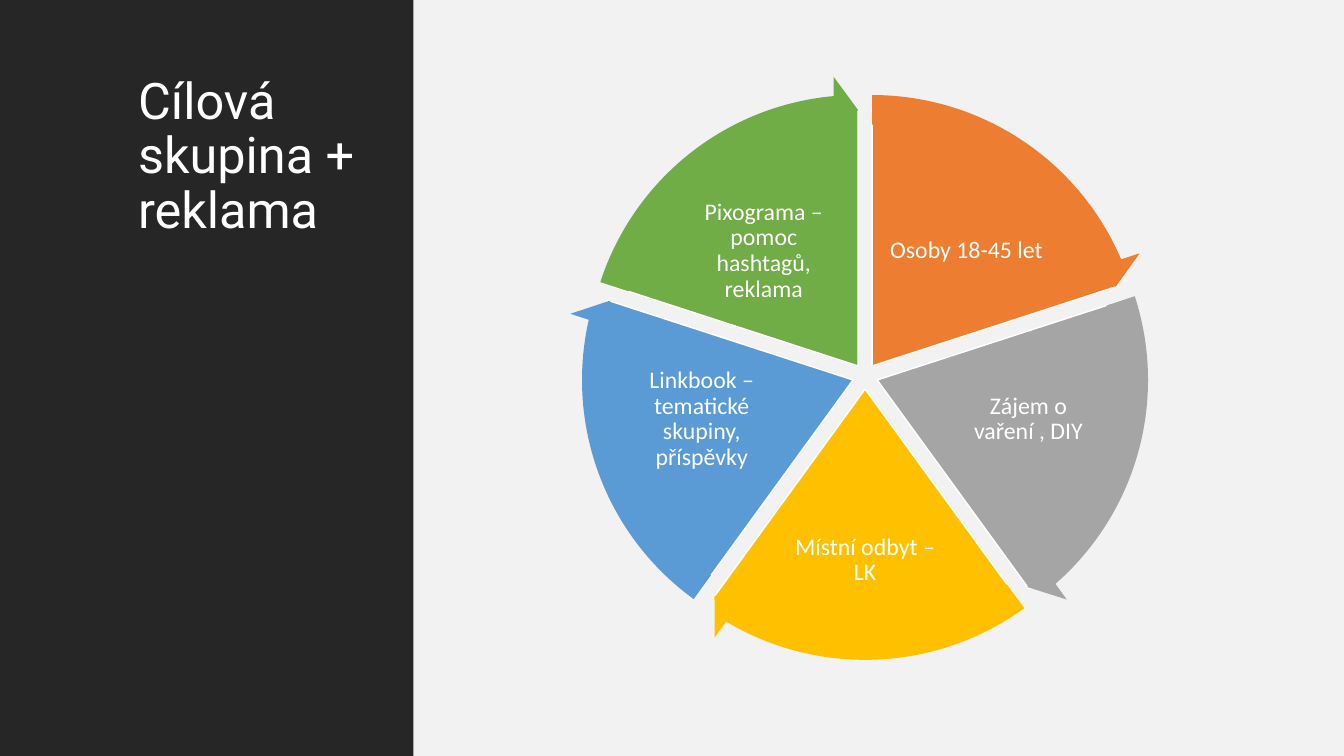
from math import cos, radians, sin

from pptx import Presentation
from pptx.dml.color import RGBColor
from pptx.enum.shapes import MSO_SHAPE as Shape
from pptx.enum.text import MSO_ANCHOR as Anchor, MSO_AUTO_SIZE as AutoSize, PP_ALIGN as Align
from pptx.util import Pt

PX = 9144  # 100 px to the inch

WHITE = RGBColor(0xFF, 0xFF, 0xFF)
PALE = RGBColor(0xF2, 0xF2, 0xF2)
DARK = RGBColor(0x26, 0x26, 0x26)
ORANGE = RGBColor(0xED, 0x7D, 0x31)
GREY = RGBColor(0xA5, 0xA5, 0xA5)
YELLOW = RGBColor(0xFF, 0xC0, 0x00)
BLUE = RGBColor(0x5B, 0x9B, 0xD5)
GREEN = RGBColor(0x70, 0xAD, 0x47)

# Content: boxes are left, top, width, height
TITLE = "Cílová skupina + reklama"
TITLE_BOX = (127, 70, 240, 610)
PANELS = [((409, 0, 924, 750), PALE), ((0, 0, 410, 750), DARK)]
SLICES = [  # clockwise from the top
    ("Osoby 18-45 let", ORANGE, (876, 194, 165, 110)),
    ("Zájem o vaření , DIY", GREY, (944, 355, 152, 122)),
    ("Místní odbyt – LK", YELLOW, (785, 489, 146, 134)),
    ("Linkbook – tematické skupiny, příspěvky", BLUE, (620, 355, 152, 122)),
    ("Pixograma – pomoc hashtagů, reklama", GREEN, (675, 194, 165, 110)),
]
WHEEL_CENTER = (858, 373)
PIE_SIZE, ARROW_SIZE = 512, 576
SLICE_GAP = 25  # each slice moves out by half of this
SWEEP = 360 / len(SLICES)
ANGLE_UNIT = 0.6  # adjustment value of one degree
ARROW_SHAFT, ARROW_HEAD, ARROW_TIP = 0.051, 3.275, 0.059

TITLE_FONT = {"name": "Roboto", "size": Pt(36)}
LABEL_FONT = {"name": "Calibri", "size": Pt(17)}


def emu(box):
    return [round(length) * PX for length in box]


def add_filled(shapes, kind, box, color, adjustments=()):
    shape = shapes.add_shape(kind, *emu(box))
    shape.shadow.inherit = False
    shape.fill.solid()
    shape.fill.fore_color.rgb = color
    shape.line.fill.background()
    for index, value in enumerate(adjustments):
        shape.adjustments[index] = value
    return shape


def write(shape, text, font_format, align, anchor):
    frame = shape.text_frame
    frame.text = text
    frame.word_wrap = True
    frame.auto_size = AutoSize.NONE
    frame.vertical_anchor = anchor
    paragraph = frame.paragraphs[0]
    paragraph.alignment = align
    paragraph.line_spacing = 0.9
    font = paragraph.runs[0].font
    for name, value in font_format.items():
        setattr(font, name, value)
    font.color.rgb = WHITE
    return frame


def centered_box(center, size):
    return (center[0] - size / 2, center[1] - size / 2, size, size)


def add_wheel(slide):
    wheel = slide.shapes.add_group_shape().shapes
    arrows = []

    # Slices and their labels
    for index, (text, color, label_box) in enumerate(SLICES):
        start = (270 + index * SWEEP) % 360
        end = (start + SWEEP) % 360
        middle = radians(start + SWEEP / 2)
        center = (WHEEL_CENTER[0] + SLICE_GAP / 2 * cos(middle),
                  WHEEL_CENTER[1] + SLICE_GAP / 2 * sin(middle))
        first, last = start * ANGLE_UNIT, end * ANGLE_UNIT
        pie = add_filled(wheel, Shape.PIE, centered_box(center, PIE_SIZE), color, (first, last))
        pie.line.color.rgb = WHITE
        pie.line.width = Pt(1)

        label = wheel.add_textbox(*emu(label_box))
        frame = write(label, text, LABEL_FONT, Align.CENTER, Anchor.MIDDLE)
        for side in ("left", "top", "right", "bottom"):
            setattr(frame, f"margin_{side}", 2 * PX)

        arrows.append((centered_box(center, ARROW_SIZE), color,
                       (ARROW_SHAFT, ARROW_HEAD, last - ARROW_HEAD, first, ARROW_TIP)))

    # Arrows along the rim, in front of every slice
    for box, color, adjustments in arrows:
        add_filled(wheel, Shape.CIRCULAR_ARROW, box, color, adjustments)


def main():
    presentation = Presentation()
    presentation.slide_width, presentation.slide_height = emu((1333, 750))
    slide = presentation.slides.add_slide(presentation.slide_layouts[5])

    # Side panel and page area, with the title in front
    for box, color in PANELS:
        panel = add_filled(slide.shapes, Shape.RECTANGLE, box, color)
    title = slide.shapes.title
    title.left, title.top, title.width, title.height = emu(TITLE_BOX)
    write(title, TITLE, TITLE_FONT, Align.LEFT, Anchor.TOP)
    panel.element.addnext(title.element)

    add_wheel(slide)
    presentation.save("out.pptx")


if __name__ == "__main__":
    main()
